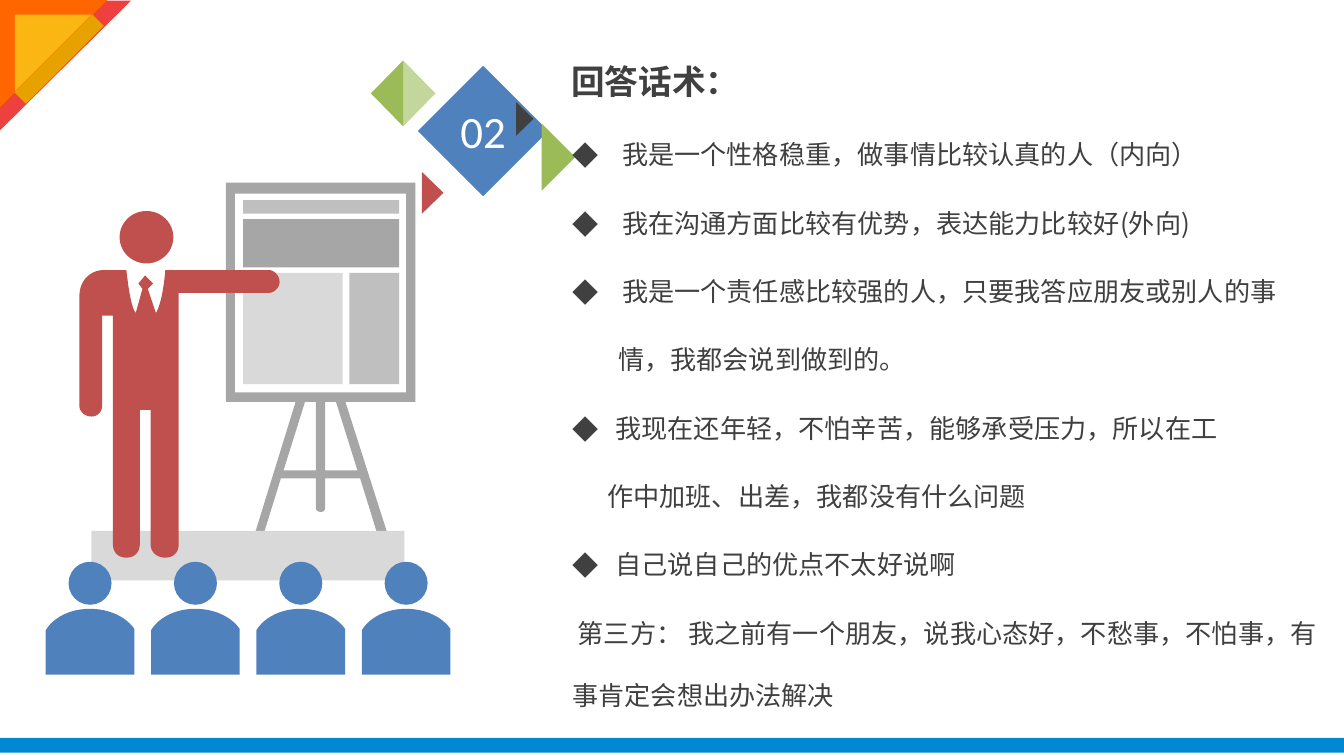
from dataclasses import dataclass

import lxml.etree
import pptx
import pptx.dml.color
import pptx.enum.shapes
import pptx.enum.text
import pptx.oxml.ns
import pptx.util

Inches = pptx.util.Inches
Pt = pptx.util.Pt
Kind = pptx.enum.shapes.MSO_SHAPE
Anchor = pptx.enum.text.MSO_ANCHOR
Align = pptx.enum.text.PP_ALIGN

CJK = "Noto Sans CJK SC"
BLUE, RED, GREEN, DARK = "4F81BD", "C0504D", "9BBB59", "404040"
GRAY, MID, LIGHT, WHITE = "A6A6A6", "BFBFBF", "D9D9D9", "FFFFFF"


@dataclass
class Block:
    kind: Kind
    left: float
    top: float
    width: float
    height: float
    color: str
    rotation: float = 0


@dataclass
class Line:
    text: str
    margin: float
    bullet: bool = False
    first: float = 0


def paint(fill, color: str) -> None:
    fill.solid()
    fill.fore_color.rgb = pptx.dml.color.RGBColor.from_string(color)


def finish(shape, color: str) -> None:
    paint(shape.fill, color)
    shape.line.fill.background()
    shape.shadow.inherit = False


def draw_block(shapes, block: Block):
    shape = shapes.add_shape(block.kind, *map(Inches, (block.left, block.top, block.width, block.height)))
    shape.rotation = block.rotation
    finish(shape, block.color)
    return shape


def flatten(steps: list[tuple]) -> list[tuple]:
    points = [steps[0]]
    for step in steps[1:]:
        if len(step) == 2:
            points.append(step)
            continue
        (x0, y0), (x1, y1, x2, y2, x3, y3) = points[-1], step
        for t in (n / 12 for n in range(1, 13)):
            a, b, c, d = (1 - t) ** 3, 3 * t * (1 - t) ** 2, 3 * t * t * (1 - t), t ** 3
            points.append((a * x0 + b * x1 + c * x2 + d * x3, a * y0 + b * y1 + c * y2 + d * y3))
    return points


def draw_outline(shapes, color: str, *contours: list[tuple]) -> None:
    builder = None
    for contour in contours:
        start, *rest = [(Inches(x), Inches(y)) for x, y in flatten(contour)]
        if builder is None:
            builder = shapes.build_freeform(*start, scale=1.0)
        else:
            builder.move_to(*start)
        builder.add_line_segments(rest, close=True)
    finish(builder.convert_to_shape(), color)


def write(para, text: str, size: float, color: str, font: str, bold: bool = False) -> None:
    span = para.add_run()
    span.text = text
    span.font.size = Pt(size)
    span.font.bold = bold
    paint(span.font.fill, color)
    span.font.name = font
    east = lxml.etree.SubElement(span.font._element, pptx.oxml.ns.qn("a:ea"))
    east.set("typeface", font)


def format_line(para, line: Line) -> None:
    properties = para._p.get_or_add_pPr()
    properties.set("marL", str(Inches(line.margin)))
    properties.set("indent", str(Inches(-line.margin if line.bullet else line.first)))
    if line.bullet:
        lxml.etree.SubElement(properties, pptx.oxml.ns.qn("a:buFont")).set("typeface", CJK)
        lxml.etree.SubElement(properties, pptx.oxml.ns.qn("a:buChar")).set("char", "◆")
    para.line_spacing = Pt(33.6)


EASEL = [
    (3.09, 1.36), (1.68, 1.36), (1.68, 2.99), (2.2, 2.99), (1.9, 3.96),
    (1.89, 3.98, 1.9, 4, 1.92, 4), (1.93, 4.01, 1.95, 4, 1.96, 3.98),
    (2.09, 3.56), (2.35, 3.56), (2.35, 3.78),
    (2.35, 3.8, 2.37, 3.81, 2.39, 3.81), (2.4, 3.81, 2.42, 3.8, 2.42, 3.78),
    (2.42, 3.56), (2.68, 3.56), (2.81, 3.98),
    (2.82, 4, 2.84, 4.01, 2.85, 4), (2.87, 4, 2.88, 3.98, 2.88, 3.96),
    (2.57, 2.99), (3.09, 2.99),
]
EASEL_GAPS = [
    [(2.11, 3.5), (2.27, 2.99), (2.35, 2.99), (2.35, 3.5)],
    [(2.66, 3.5), (2.42, 3.5), (2.42, 2.99), (2.5, 2.99)],
]
SPEAKER = [
    (2, 2.01), (1.23, 2.01), (1.21, 2.26, 1.16, 2.33, 1.16, 2.33),
    (1.1, 2.15), (1.14, 2.11), (1.08, 2.05), (1.03, 2.11), (1.06, 2.15), (1.01, 2.33),
    (0.97, 2.28, 0.95, 2.09, 0.94, 2.01), (0.77, 2.01), (0.69, 2.01, 0.59, 2.07, 0.59, 2.21),
    (0.59, 3.02), (0.59, 3.06, 0.63, 3.1, 0.68, 3.1), (0.73, 3.1, 0.76, 3.06, 0.76, 3.02),
    (0.76, 2.35), (0.84, 2.35), (0.84, 4.05),
    (0.84, 4.11, 0.88, 4.15, 0.94, 4.15), (1, 4.15, 1.04, 4.11, 1.04, 4.05),
    (1.04, 3.05), (1.12, 3.05), (1.12, 4.05),
    (1.12, 4.11, 1.17, 4.15, 1.23, 4.15), (1.29, 4.15, 1.33, 4.11, 1.33, 4.05),
    (1.33, 2.18), (2, 2.18), (2.04, 2.18, 2.08, 2.14, 2.08, 2.1), (2.08, 2.05, 2.04, 2.01, 2, 2.01),
]
FRAME = [
    Block(Kind.RECTANGLE, 0, 5.49, 10, 0.11, "0089D2"),
    Block(Kind.RIGHT_TRIANGLE, 0, 0, 0.97, 0.98, "EE403F", 90),
    Block(Kind.RIGHT_TRIANGLE, 0, 0, 0.8, 0.8, "FF6600", 90),
    Block(Kind.RIGHT_TRIANGLE, 0.11, 0.11, 0.57, 0.57, "FBB614", 90),
    Block(Kind.RECTANGLE, 0.38, 0.03, 0.12, 0.82, "E7A200", 45),
]
BOARD = [
    Block(Kind.RECTANGLE, 1.75, 1.44, 1.27, 1.48, WHITE),
    Block(Kind.RECTANGLE, 1.81, 1.49, 1.16, 0.1, MID),
    Block(Kind.RECTANGLE, 1.81, 1.63, 1.16, 0.36, GRAY),
    Block(Kind.RECTANGLE, 1.81, 2.03, 0.74, 0.83, LIGHT),
    Block(Kind.RECTANGLE, 2.6, 2.03, 0.37, 0.83, MID),
    Block(Kind.RECTANGLE, 0.68, 3.95, 2.33, 0.37, LIGHT),
    Block(Kind.OVAL, 0.89, 1.57, 0.4, 0.39, RED),
]
TRIANGLES = [
    (3.14, 1.28, 0.16, 0.31, RED),
    (3.84, 0.76, 0.13, 0.25, DARK),
    (3, 0.45, 0.24, 0.49, "C3D69B"),
    (4.03, 0.92, 0.25, 0.5, GREEN),
    (3, 0.45, -0.24, 0.49, GREEN),
]
LINES = [
    Line("我是一个性格稳重，做事情比较认真的人（内向）", 0.37, True),
    Line("我在沟通方面比较有优势，表达能力比较好(外向)", 0.37, True),
    Line("我是一个责任感比较强的人，只要我答应朋友或别人的事", 0.37, True),
    Line("情，我都会说到做到的。", 0.34),
    Line("我现在还年轻，不怕辛苦，能够承受压力，所以在工", 0.32, True),
    Line("作中加班、出差，我都没有什么问题", 0.26),
    Line("自己说自己的优点不太好说啊", 0.32, True),
    Line("第三方： 我之前有一个朋友，说我心态好，不愁事，不怕事，有事肯定会想出办法解决", 0, first=0.04),
]


def draw_listener(shapes, left: float) -> None:
    draw_block(shapes, Block(Kind.OVAL, left + 0.17, 4.18, 0.32, 0.32, BLUE))
    draw_outline(shapes, BLUE, [
        (left + 0.33, 4.53), (left + 0.19, 4.53, left + 0.06, 4.59, left, 4.69), (left, 5.02),
        (left + 0.66, 5.02), (left + 0.66, 4.68), (left + 0.6, 4.59, left + 0.47, 4.53, left + 0.33, 4.53)])


def main() -> None:
    deck = pptx.Presentation()
    deck.slide_width = Inches(10)
    deck.slide_height = deck.slide_width * 9 // 16
    page = deck.slides.add_slide(deck.slide_layouts[5])

    for block in FRAME:
        draw_block(page.shapes, block)

    scene = page.shapes.add_group_shape().shapes
    draw_outline(scene, GRAY, EASEL, *EASEL_GAPS)
    for block in BOARD:
        draw_block(scene, block)
    draw_outline(scene, RED, SPEAKER)
    for index in range(4):
        draw_listener(scene, 0.34 + 0.784 * index)

    badge = draw_block(page.shapes, Block(Kind.DIAMOND, 3.11, 0.49, 0.97, 0.97, BLUE))
    frame = badge.text_frame
    frame.margin_left = frame.margin_top = frame.margin_right = frame.margin_bottom = 0
    frame.vertical_anchor = Anchor.MIDDLE
    frame.paragraphs[0].alignment = Align.CENTER
    write(frame.paragraphs[0], "02", 24, WHITE, "Calibri")
    for left, top, width, height, color in TRIANGLES:
        draw_outline(page.shapes, color, [(left, top), (left + width, top + height / 2), (left, top + height)])

    title = page.shapes.title
    title.left, title.top, title.width, title.height = map(Inches, (4.15, 0.35, 5.5, 0.5))
    title.text_frame.vertical_anchor = Anchor.MIDDLE
    title.text_frame.paragraphs[0].alignment = Align.LEFT
    write(title.text_frame.paragraphs[0], "回答话术：", 18, DARK, CJK, True)

    box = page.shapes.add_textbox(*map(Inches, (4.16, 0.8, 5.92, 4.58)))
    box.text_frame.word_wrap = True
    box.text_frame.margin_top = box.text_frame.margin_bottom = 0
    box.text_frame.margin_right = Inches(0.2)
    for index, line in enumerate(LINES):
        para = box.text_frame.add_paragraph() if index else box.text_frame.paragraphs[0]
        format_line(para, line)
        if index:
            para.space_before = Pt(3)
        write(para, line.text, 14, DARK, CJK)

    deck.save("out.pptx")


if __name__ == "__main__":
    main()
